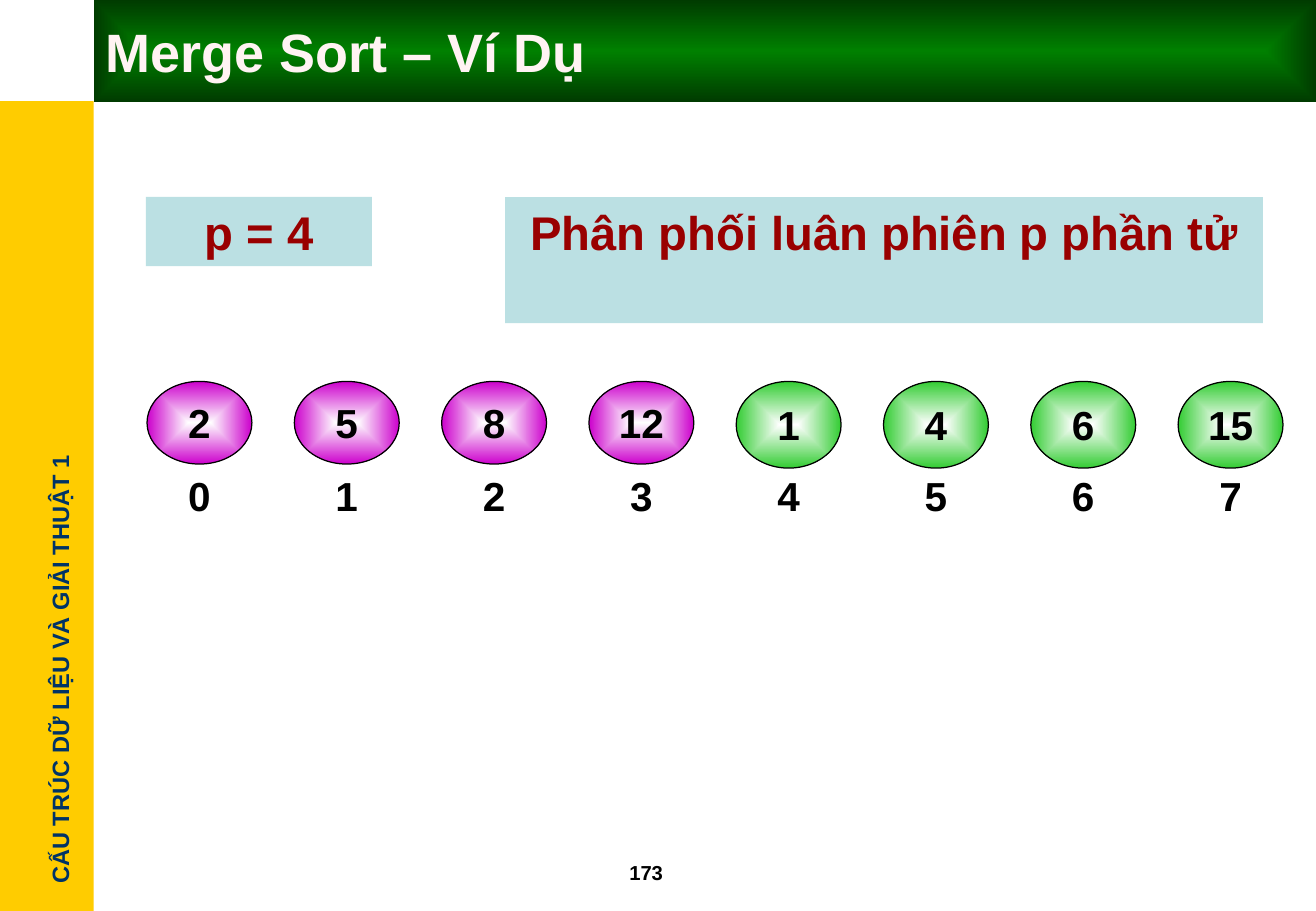
from lxml.etree import SubElement
from pptx import Presentation
from pptx.dml.color import RGBColor
from pptx.enum.shapes import MSO_SHAPE
from pptx.enum.text import MSO_ANCHOR, PP_ALIGN
from pptx.oxml.ns import qn
from pptx.util import Pt

WHITE = RGBColor(0xFF, 0xFF, 0xFF)
BLACK = RGBColor(0, 0, 0)
GOLD = RGBColor(0xFF, 0xCC, 0)
NAVY = RGBColor(0, 0x33, 0x66)
FOREST = RGBColor(0, 0x80, 0)
DARK = RGBColor(0, 0x3B, 0)
CREAM = RGBColor(0xFF, 0xF3, 0xF3)
PURPLE = RGBColor(0xCC, 0, 0xCC)
GREEN = RGBColor(0x33, 0xCC, 0x33)
AQUA = RGBColor(0xBB, 0xE0, 0xE3)
RED = RGBColor(0x99, 0, 0)

LEFT, PITCH, WIDTH = 87.2, 87.33, 62.2
RUNS = [
    (PURPLE, 49, ["2", "5", "8", "12"]),
    (GREEN, 51.4, ["1", "4", "6", "15"]),
]


def write(shape, text, size, color, align=PP_ALIGN.CENTER,
          anchor=MSO_ANCHOR.MIDDLE, wrap=True):
    frame = shape.text_frame
    frame.word_wrap = wrap
    frame.vertical_anchor = anchor
    para = frame.paragraphs[0]
    para.alignment = align
    run = para.add_run()
    run.text = text
    style = {"name": "Arial", "size": Pt(size), "bold": True}
    for key, value in style.items():
        setattr(run.font, key, value)
    run.font.color.rgb = color


def add_shape(slide, kind, box, fill=None):
    shape = slide.shapes.add_shape(kind, *map(Pt, box))
    shape.shadow.inherit = False
    shape.line.fill.background()
    if fill is None:
        shape.fill.background()
    else:
        shape.fill.solid()
        shape.fill.fore_color.rgb = fill
    return shape


def add_label(slide, box, text, size, color, wrap=True):
    label = slide.shapes.add_textbox(*map(Pt, box))
    write(label, text, size, color, PP_ALIGN.LEFT, MSO_ANCHOR.TOP, wrap)
    return label


def glow(shape, inner, outer):
    """Fill with a gradient that spreads from the centre to the edges."""
    shape.fill.gradient()
    for stop, color in zip(shape.fill.gradient_stops, (inner, outer)):
        stop.color.rgb = color
    grad = shape.element.spPr.find(qn("a:gradFill"))
    grad.remove(grad.find(qn("a:lin")))
    center = SubElement(grad, qn("a:path"), {"path": "rect"})
    sides = dict.fromkeys("ltrb", "50000")
    SubElement(center, qn("a:fillToRect"), sides)


def add_frame(slide):
    add_shape(slide, MSO_SHAPE.RECTANGLE, (0, 60, 55.5, 480), GOLD)
    course = add_label(slide, (-98.6, 384.5, 268.6, 24.5),
                       "CẤU TRÚC DỮ LIỆU VÀ GIẢI THUẬT 1", 14, NAVY, False)
    course.rotation = 270
    add_label(slide, (366, 506.4, 60, 21.6), "173", 12, BLACK)
    title = add_shape(slide, MSO_SHAPE.RECTANGLE, (55.5, 0, 724.75, 60.4))
    glow(title, FOREST, DARK)
    write(title, "Merge Sort – Ví Dụ", 32, CREAM, PP_ALIGN.LEFT)


def add_note(slide, box, text):
    note = add_shape(slide, MSO_SHAPE.RECTANGLE, box, AQUA)
    write(note, text, 28, RED, anchor=MSO_ANCHOR.TOP)


def add_item(slide, index, value, color, height):
    """Draw one array element with its index below."""
    left = LEFT + index * PITCH
    ball = add_shape(slide, MSO_SHAPE.OVAL, (left, 226.1, WIDTH, height))
    glow(ball, WHITE, color)
    ball.line.color.rgb = BLACK
    ball.line.width = Pt(0.75)
    write(ball, value, 24, BLACK, wrap=False)
    place = add_shape(slide, MSO_SHAPE.OVAL, (left, 267.8, WIDTH, 51.4))
    write(place, str(index), 24, BLACK, wrap=False)


def main():
    deck = Presentation()
    deck.slide_width, deck.slide_height = Pt(780.25), Pt(540)
    slide = deck.slides.add_slide(deck.slide_layouts[6])
    add_frame(slide)
    add_note(slide, (86.5, 116.8, 134, 41), "p = 4")
    add_note(slide, (299.5, 116.8, 449.3, 74.8),
             "Phân phối luân phiên p phần tử")
    items = [(value, color, height)
             for color, height, values in RUNS for value in values]
    for index, item in enumerate(items):
        add_item(slide, index, *item)
    deck.save("out.pptx")


if __name__ == "__main__":
    main()
